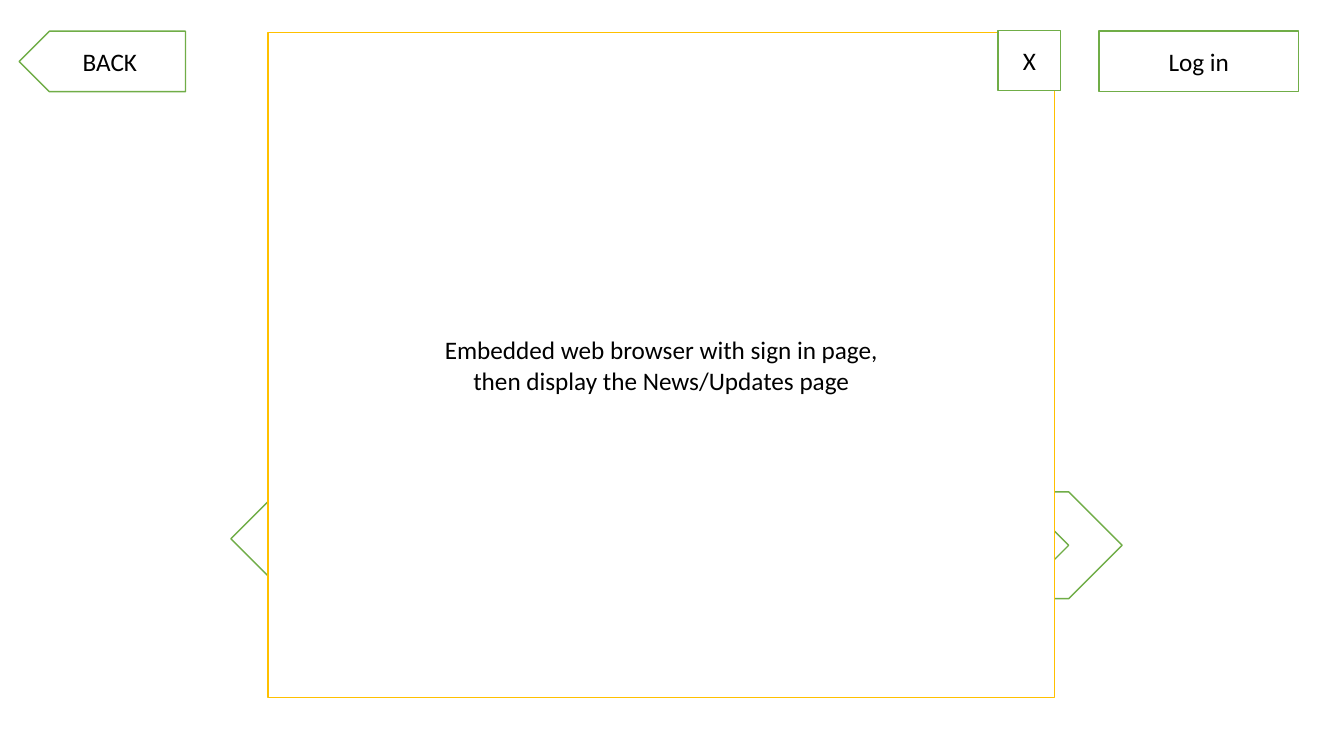
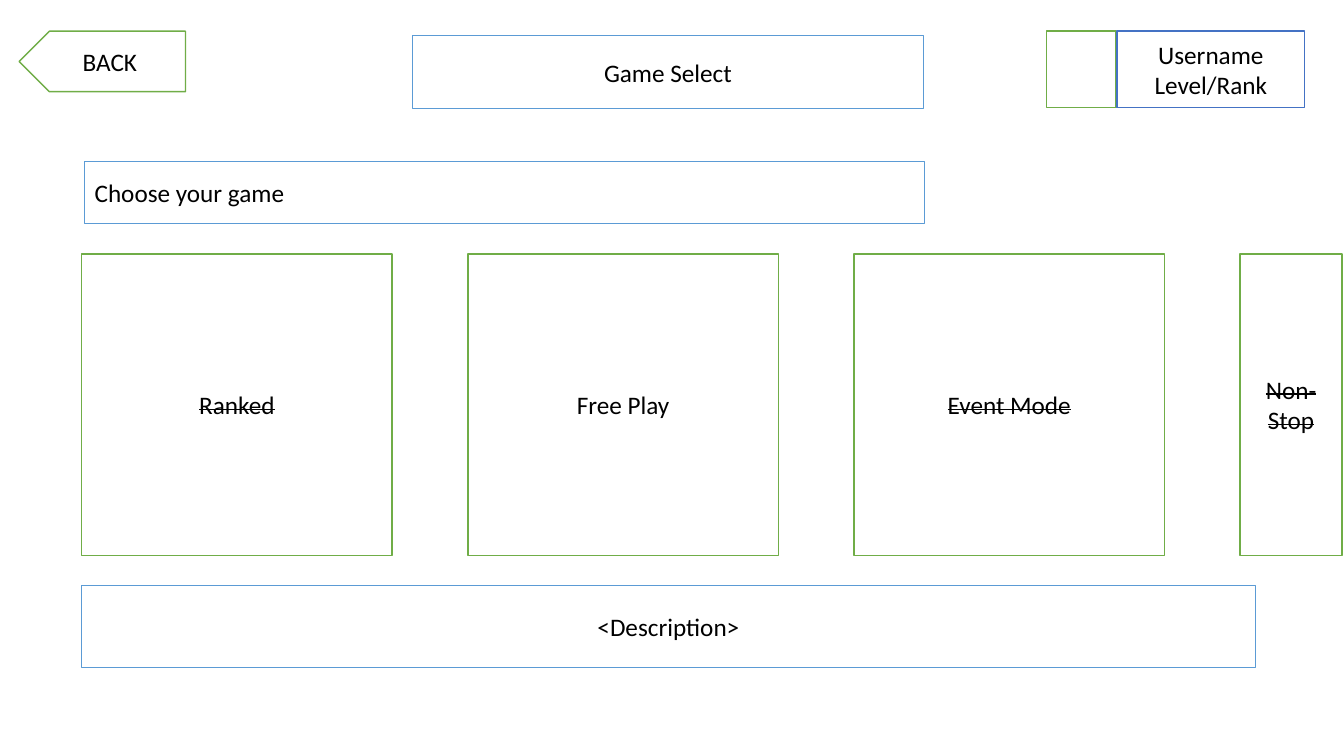
from pptx import Presentation
from pptx.dml.color import RGBColor
from pptx.enum.shapes import MSO_SHAPE
from pptx.enum.text import MSO_ANCHOR, PP_ALIGN
from pptx.util import Inches, Pt

WHITE = RGBColor(0xFF, 0xFF, 0xFF)
BLACK = RGBColor(0x00, 0x00, 0x00)
GREEN = RGBColor(0x70, 0xAD, 0x47)
GOLD = RGBColor(0xFF, 0xC0, 0x00)
LIGHT_BLUE = RGBColor(0x5B, 0x9B, 0xD5)
BLUE = RGBColor(0x44, 0x72, 0xC4)


class Wireframe:
    """Holds the shared style and the slide being drawn."""

    font_name = "Calibri"
    font_size = Pt(18)
    line_width = Pt(1)

    def __init__(self):
        """Start an empty widescreen presentation."""
        self.deck = Presentation()
        self.deck.slide_width = Inches(13.33)
        self.deck.slide_height = Inches(7.5)
        self.slide = None

    def new_screen(self):
        """Add a blank slide and make it current."""
        self.slide = self.deck.slides.add_slide(self.deck.slide_layouts[6])

    def outline(self, preset, left, top, width, height, color, mirrored=False):
        """Draw a white preset shape with a thin coloured outline."""
        shape = self.slide.shapes.add_shape(
            preset, Inches(left), Inches(top), Inches(width), Inches(height))
        shape.shadow.inherit = False
        shape.fill.solid()
        shape.fill.fore_color.rgb = WHITE
        shape.line.color.rgb = color
        shape.line.width = self.line_width
        if mirrored:
            shape._element.spPr.xfrm.set("flipH", "1")
        return shape

    def label(self, shape, text, align=PP_ALIGN.CENTER, struck=False):
        """Write text in a shape, one run for each line."""
        frame = shape.text_frame
        frame.word_wrap = True
        frame.vertical_anchor = MSO_ANCHOR.MIDDLE
        paragraph = frame.paragraphs[0]
        paragraph.alignment = align
        for index, line in enumerate(text.split("\n")):
            if index:
                paragraph.add_line_break()
            run = paragraph.add_run()
            run.text = line
            run.font.name = self.font_name
            run.font.size = self.font_size
            run.font.color.rgb = BLACK
            if struck:
                run.font._element.set("strike", "sngStrike")

    def box(self, left, top, width, height, color, text="", **text_style):
        """Draw a rectangle, with a label if there is text."""
        shape = self.outline(MSO_SHAPE.RECTANGLE, left, top, width, height, color)
        if text:
            self.label(shape, text, **text_style)

    def chevron(self, left, top, size, mirrored=False):
        """Draw a square carousel arrow."""
        self.outline(MSO_SHAPE.CHEVRON, left, top, size, size, GREEN, mirrored)

    def back_button(self):
        """Draw the back button shared by the screens."""
        button = self.outline(
            MSO_SHAPE.PENTAGON, 0.19, 0.31, 1.65, 0.6, GREEN, mirrored=True)
        self.label(button, "BACK")


def build_sign_in(wireframe):
    """Draw the sign-in browser over the login screen."""
    wireframe.new_screen()
    wireframe.chevron(10.07, 4.88, 1.06)
    wireframe.chevron(2.29, 4.74, 1.21, mirrored=True)
    wireframe.back_button()
    wireframe.box(10.9, 0.31, 1.98, 0.6, GREEN, "Log in")
    wireframe.box(2.66, 0.32, 7.8, 6.6, GOLD,
                  "Embedded web browser with sign in page,\n"
                  "then display the News/Updates page")
    wireframe.box(9.9, 0.3, 0.62, 0.6, GREEN, "X")


def build_game_select(wireframe):
    """Draw the game selection screen."""
    wireframe.new_screen()
    wireframe.back_button()
    wireframe.box(10.38, 0.31, 0.69, 0.76, GREEN)
    wireframe.box(11.08, 0.31, 1.86, 0.76, BLUE, "Username\nLevel/Rank")

    first_left, mode_pitch = 0.81, 3.83
    modes = [("Ranked", 3.08, True), ("Free Play", 3.08, False),
             ("Event Mode", 3.08, True), ("Non-Stop", 1.01, True)]
    for index, (mode, width, struck) in enumerate(modes):
        wireframe.box(first_left + index * mode_pitch, 2.52, width, 2.99,
                      GREEN, mode, struck=struck)

    wireframe.box(first_left, 5.81, 11.64, 0.81, LIGHT_BLUE, "<Description>")
    wireframe.box(4.09, 0.35, 5.07, 0.73, LIGHT_BLUE, "Game Select")
    wireframe.box(0.84, 1.6, 8.33, 0.62, LIGHT_BLUE, "Choose your game",
                  align=PP_ALIGN.LEFT)


def main():
    """Build both screens and save them."""
    wireframe = Wireframe()
    build_sign_in(wireframe)
    build_game_select(wireframe)
    wireframe.deck.save("out.pptx")


main()
